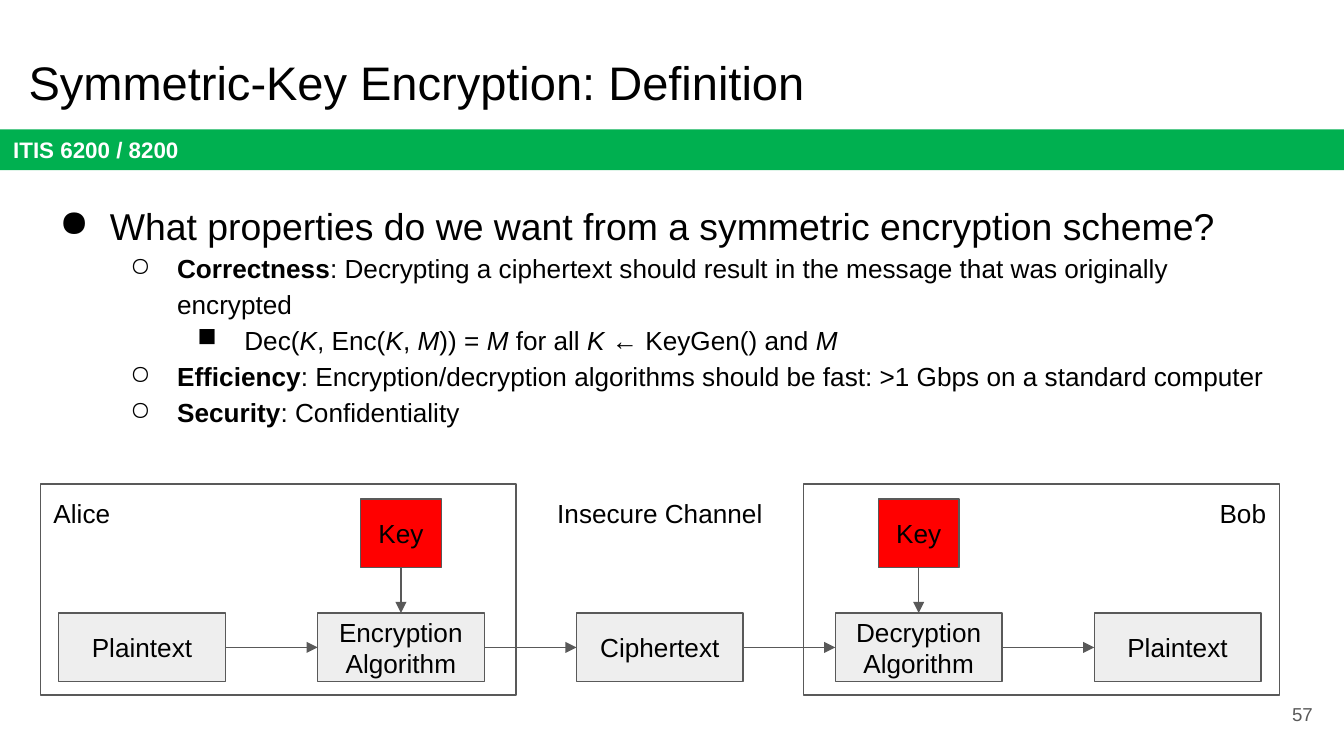
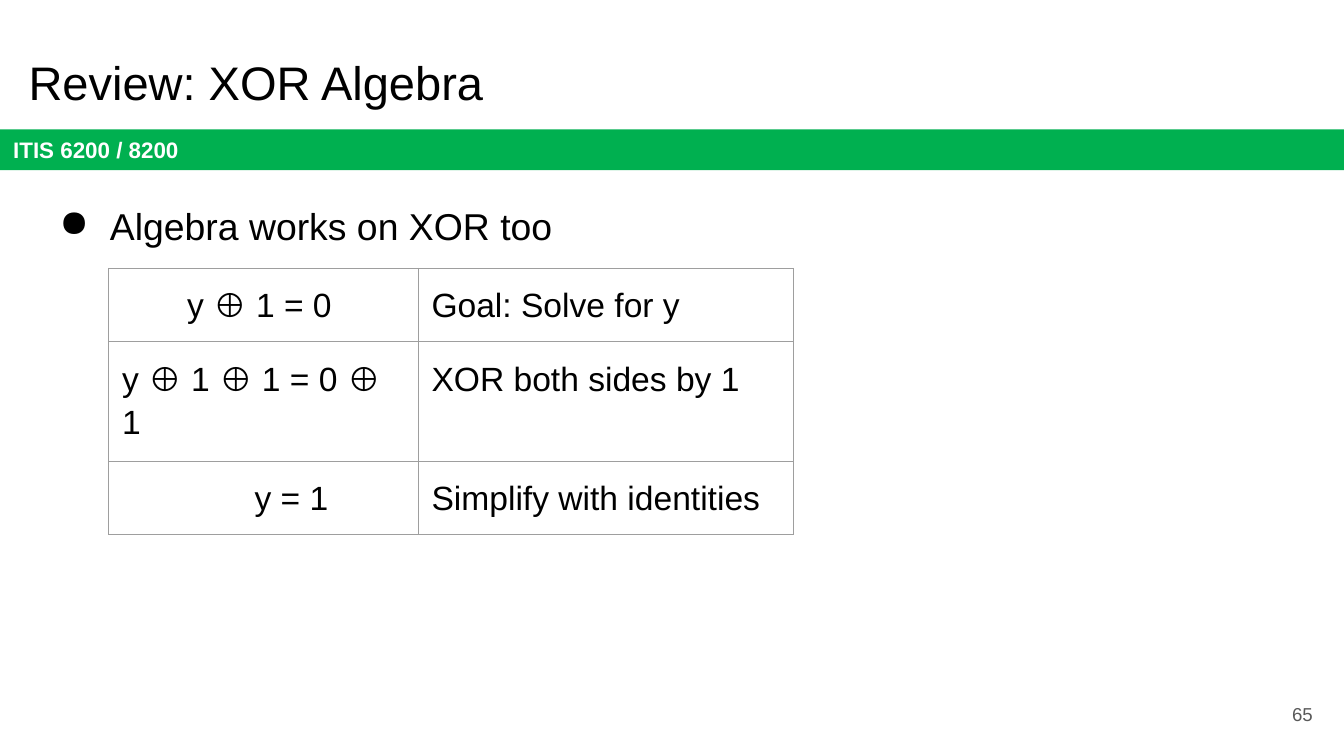
from itertools import pairwise

from lxml import etree
from pptx import Presentation
from pptx.dml.color import RGBColor
from pptx.enum import shapes, text
from pptx.oxml import ns
from pptx.util import Pt

FONT = "Arial"
BLACK, WHITE, GREEN, RED = "000000", "FFFFFF", "00B050", "FF0000"
NODE_GRAY, LINE_GRAY, BORDER_GRAY = "EEEEEE", "595959", "9E9E9E"
SLIDE_W, SLIDE_H = 720, 405
INSET = 7.2
LEFT, CENTER, RIGHT = text.PP_ALIGN.LEFT, text.PP_ALIGN.CENTER, text.PP_ALIGN.RIGHT
TOP, MIDDLE = text.MSO_ANCHOR.TOP, text.MSO_ANCHOR.MIDDLE
SITE_TOP, SITE_LEFT, SITE_BOTTOM, SITE_RIGHT = range(4)

# bullet, left margin, hanging indent, size
LEVELS = [("●", 36, 27, 20), ("○", 72, 25.2, 14), ("■", 108, 25.2, 14)]


def rgb(color):
    return RGBColor.from_string(color)


def sub(parent, tag, **attrs):
    return etree.SubElement(parent, ns.qn(tag), attrs)


def set_font(p, size, color=BLACK, bold=None):
    p.font.name, p.font.size, p.font.bold = FONT, Pt(size), bold
    p.font.color.rgb = rgb(color)


def prepare_frame(tf, anchor):
    tf.word_wrap = True
    tf.vertical_anchor = anchor
    tf.margin_left = tf.margin_right = tf.margin_top = tf.margin_bottom = Pt(INSET)


def write(sp, words, size, color=BLACK, align=LEFT, anchor=TOP, bold=None):
    prepare_frame(sp.text_frame, anchor)
    p = sp.text_frame.paragraphs[0]
    p.text, p.alignment = words, align
    set_font(p, size, color, bold)


def add_label(s, box, words, size, **style):
    write(s.shapes.add_textbox(*map(Pt, box)), words, size, **style)


def add_rect(s, box, fill=None, line=None):
    sp = s.shapes.add_shape(shapes.MSO_SHAPE.RECTANGLE, *map(Pt, box))
    sp.shadow.inherit = False
    if fill:
        sp.fill.solid()
        sp.fill.fore_color.rgb = rgb(fill)
    else:
        sp.fill.background()
    if line:
        sp.line.color.rgb = rgb(line)
        sp.line.width = Pt(0.75)
    else:
        sp.line.fill.background()
    return sp


def add_node(s, box, words, fill=NODE_GRAY):
    sp = add_rect(s, box, fill, LINE_GRAY)
    write(sp, words, 14, align=CENTER, anchor=MIDDLE)
    return sp


def add_arrow(s, start, start_site, end, end_site):
    line = s.shapes.add_connector(shapes.MSO_CONNECTOR.STRAIGHT, 0, 0, 0, 0)
    line.begin_connect(start, start_site)
    line.end_connect(end, end_site)
    line.line.color.rgb = rgb(LINE_GRAY)
    line.line.width = Pt(0.75)
    sub(line.line._get_or_add_ln(), "a:tailEnd", type="triangle")
    sub(line._element.spPr, "a:effectLst")


def add_frame_slide(prs, title, number):
    """Add a slide with the shared title, course band and page number."""
    s = prs.slides.add_slide(prs.slide_layouts[6])
    band = add_rect(s, (0, 69.3, SLIDE_W, 21.8), GREEN)
    write(band, "ITIS 6200 / 8200", 12, WHITE, anchor=MIDDLE, bold=True)
    add_label(s, (8.2, 21.6, 671, 45.4), title, 25.2)
    add_label(s, (667.2, 367.2, 43.2, 31), str(number), 10,
              color=LINE_GRAY, align=RIGHT, anchor=MIDDLE)
    return s


def add_bullets(s, box, items):
    """Write (level, words, mark) items; words between asterisks take the mark."""
    tf = s.shapes.add_textbox(*map(Pt, box)).text_frame
    prepare_frame(tf, TOP)
    for i, (level, words, mark) in enumerate(items):
        p = tf.add_paragraph() if i else tf.paragraphs[0]
        bullet, margin, hang, size = LEVELS[level]
        p.level = level
        p.line_spacing = 1.15
        pPr = p._p.get_or_add_pPr()
        pPr.set("marL", str(Pt(margin)))
        pPr.set("indent", str(-Pt(hang)))
        sub(sub(pPr, "a:buClr"), "a:srgbClr", val=BLACK)
        sub(pPr, "a:buChar", char=bullet)
        set_font(p, size)
        for j, piece in enumerate(words.split("*")):
            if piece:
                r = p.add_run()
                r.text = piece
                if j % 2:
                    setattr(r.font, mark, True)


def add_channel_diagram(s, box):
    """Draw Alice and Bob at the sides, and the message flow along the bottom."""
    x, y, w, h = box
    party_w, label_h = 254.9, 31.7
    node_w, node_h, key_w = 89.3, 36.9, 43.2
    margin, node_y, key_y = 9.9, y + 69, y + 7.9
    steps = ["Plaintext", "Encryption Algorithm", "Ciphertext",
             "Decryption Algorithm", "Plaintext"]
    pitch = (w - 2 * margin - node_w) / (len(steps) - 1)

    for party_x in (x, x + w - party_w):
        add_rect(s, (party_x, y, party_w, h), line=LINE_GRAY)

    nodes = [add_node(s, (x + margin + i * pitch, node_y, node_w, node_h), step)
             for i, step in enumerate(steps)]
    for start, end in pairwise(nodes):
        add_arrow(s, start, SITE_RIGHT, end, SITE_LEFT)

    for i in (1, 3):
        key_x = x + margin + i * pitch + (node_w - key_w) / 2
        key = add_node(s, (key_x, key_y, key_w, node_h), "Key", RED)
        add_arrow(s, key, SITE_BOTTOM, nodes[i], SITE_TOP)

    name_w = 60.5
    add_label(s, (x, y, name_w, label_h), "Alice", 14)
    add_label(s, (x + w - name_w, y, name_w, label_h), "Bob", 14, align=RIGHT)
    add_label(s, (x + party_w, y, w - 2 * party_w, label_h),
              "Insecure Channel", 14, align=CENTER)


def add_cell_borders(cell):
    tcPr = cell._tc.get_or_add_tcPr()
    for i, side in enumerate("LRTB"):
        ln = etree.Element(ns.qn("a:ln" + side), w=str(Pt(0.75)))
        sub(sub(ln, "a:solidFill"), "a:srgbClr", val=BORDER_GRAY)
        tcPr.insert(i, ln)


def add_algebra_table(s, left, top, col_widths, row_h, rows):
    """Fill rows of (indent, equation, explanation)."""
    table = s.shapes.add_table(len(rows), len(col_widths), Pt(left), Pt(top),
                               Pt(sum(col_widths)), Pt(row_h * len(rows))).table
    table.first_row = table.horz_banding = False
    for col, width in zip(table.columns, col_widths):
        col.width = Pt(width)
    for i, (indent, *words) in enumerate(rows):
        for j, word in enumerate(words):
            cell = table.cell(i, j)
            cell.margin_left = cell.margin_right = Pt(INSET)
            cell.margin_top = cell.margin_bottom = Pt(INSET)
            cell.fill.background()
            add_cell_borders(cell)
            p = cell.text_frame.paragraphs[0]
            p.text = word
            p.line_spacing, p.space_after = 1.15, Pt(12)
            if indent and j == 0:
                pPr = p._p.get_or_add_pPr()
                pPr.set("marL", str(Pt(indent)))
                pPr.set("indent", "0")
            set_font(p, 18)


def add_definition_slide(prs):
    s = add_frame_slide(prs, "Symmetric-Key Encryption: Definition", 57)
    add_bullets(s, (15.8, 97.9, 671, 296.6), [
        (0, "What properties do we want from a symmetric encryption scheme?", "bold"),
        (1, "*Correctness*: Decrypting a ciphertext should result in the message "
            "that was originally encrypted", "bold"),
        (2, "Dec(*K*, Enc(*K*, *M*)) = *M* for all *K* ← KeyGen() and *M*", "italic"),
        (1, "*Efficiency*: Encryption/decryption algorithms should be fast: "
            ">1 Gbps on a standard computer", "bold"),
        (1, "*Security*: Confidentiality", "bold"),
    ])
    add_channel_diagram(s, (21.6, 259.4, 663.8, 113))


def add_algebra_slide(prs):
    s = add_frame_slide(prs, "Review: XOR Algebra", 65)
    add_bullets(s, (15.8, 97.9, 671, 82.8), [(0, "Algebra works on XOR too", "bold")])
    add_algebra_table(s, 58.2, 143.8, (165.8, 200.9), 30.2, [
        (34.8, "y ⊕ 1 = 0", "Goal: Solve for y"),
        (0, "y ⊕ 1 ⊕ 1 = 0 ⊕ 1", "XOR both sides by 1"),
        (71, "y = 1", "Simplify with identities"),
    ])


def main():
    prs = Presentation()
    prs.slide_width, prs.slide_height = Pt(SLIDE_W), Pt(SLIDE_H)
    add_definition_slide(prs)
    add_algebra_slide(prs)
    prs.save("out.pptx")


if __name__ == "__main__":
    main()
